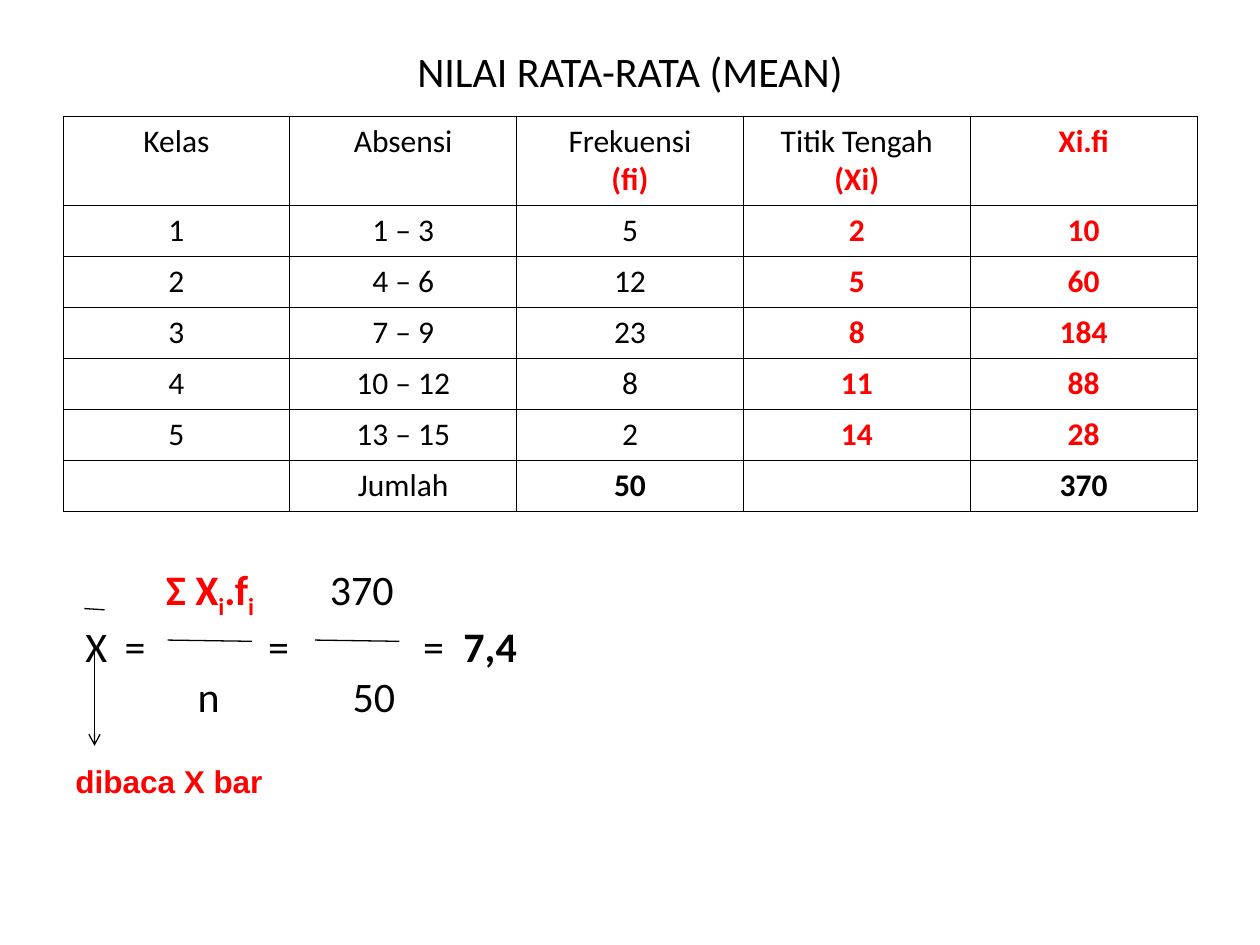
import pptx
import pptx.util
import pptx.dml.color
import pptx.enum.shapes
import pptx.enum.text
import pptx.oxml.ns
from lxml import etree

COLORS = {"ink": "000000", "accent": "FF0000"}
COLUMNS, ROWS = 20, 15  # page grid
ALIGN = pptx.enum.text.PP_ALIGN
ANCHOR = pptx.enum.text.MSO_ANCHOR

BODY = {"name": "Calibri", "size": pptx.util.Pt(18), "bold": False, "color": "ink"}
LARGE = {**BODY, "size": pptx.util.Pt(24)}
STRONG = {"bold": True}
ACCENT = {"bold": True, "color": "accent"}

HEADER = [
    [("Kelas", {})],
    [("Absensi", {})],
    [("Frekuensi", {}), ("(fi)", ACCENT)],
    [("Titik Tengah", {}), ("(Xi)", ACCENT)],
    [("Xi.fi", ACCENT)],
]
CLASSES = [
    ("1", "1 – 3", "5", "2", "10"),
    ("2", "4 – 6", "12", "5", "60"),
    ("3", "7 – 9", "23", "8", "184"),
    ("4", "10 – 12", "8", "11", "88"),
    ("5", "13 – 15", "2", "14", "28"),
]
TOTALS = ("", "Jumlah", "50", "", "370")
CLASS_STYLES = ({}, {}, {}, ACCENT, ACCENT)
TOTAL_STYLES = ({}, {}, STRONG, {}, STRONG)

# Each formula line: tab stops in grid columns, then its spans
SUBSCRIPT = {**ACCENT, "baseline": "-25000"}
FORMULA = [
    ((1.28, 3.88), [("\tΣ X", ACCENT), ("i", SUBSCRIPT), (".f", ACCENT),
                    ("i", SUBSCRIPT), ("\t370", {})]),
    ((0.62, 2.9, 5.36, 6.0), [("X\t=\t=\t=\t", {}), ("7,4", STRONG)]),
    ((1.78, 4.24), [("\tn\t50", {})]),
]


def grid_x(columns):
    return pptx.util.Inches(columns * 10 / COLUMNS)


def grid_y(rows):
    return pptx.util.Inches(rows * 7.5 / ROWS)


def place(box):
    left, top, width, height = box
    return grid_x(left), grid_y(top), grid_x(width), grid_y(height)


def add_span(para, text, style):
    span = para.add_run()
    span.text = text
    for key, value in style.items():
        if key == "color":
            span.font.color.rgb = pptx.dml.color.RGBColor.from_string(COLORS[value])
        elif key == "baseline":
            span.font._element.set("baseline", value)
        else:
            setattr(span.font, key, value)


def add_tabs(para, stops):
    tabs = etree.SubElement(para._p.get_or_add_pPr(), pptx.oxml.ns.qn("a:tabLst"))
    for stop in stops:
        etree.SubElement(tabs, pptx.oxml.ns.qn("a:tab"), pos=str(grid_x(stop)), algn="l")


def fill_frame(frame, lines, base, align=ALIGN.LEFT):
    for index, (stops, spans) in enumerate(lines):
        para = frame.add_paragraph() if index else frame.paragraphs[0]
        if stops:
            add_tabs(para, stops)
        para.alignment = align
        for text, style in spans:
            add_span(para, text, {**base, **style})


def add_text(page, box, lines, base, align=ALIGN.LEFT, anchor=ANCHOR.TOP):
    frame = page.shapes.add_textbox(*place(box)).text_frame
    frame.word_wrap = True
    frame.vertical_anchor = anchor
    fill_frame(frame, lines, base, align)


def add_line(page, start, end, arrow=False):
    line = page.shapes.add_connector(
        pptx.enum.shapes.MSO_CONNECTOR.STRAIGHT,
        grid_x(start[0]), grid_y(start[1]), grid_x(end[0]), grid_y(end[1]))
    line.line.width = pptx.util.Pt(0.75)
    line.line.color.rgb = pptx.dml.color.RGBColor.from_string(COLORS["ink"])
    if arrow:
        etree.SubElement(line.line._get_or_add_ln(),
                         pptx.oxml.ns.qn("a:tailEnd"), type="arrow")
    etree.SubElement(line._element.spPr, pptx.oxml.ns.qn("a:effectLst"))


def outline_cell(cell):
    properties = cell._tc.get_or_add_tcPr()
    for side in ("lnL", "lnR", "lnT", "lnB"):
        edge = etree.SubElement(properties, pptx.oxml.ns.qn("a:" + side),
                                w=str(pptx.util.Pt(0.45)))
        fill = etree.SubElement(edge, pptx.oxml.ns.qn("a:solidFill"))
        etree.SubElement(fill, pptx.oxml.ns.qn("a:srgbClr"), val=COLORS["ink"])
    cell.fill.background()


def add_frequency_table(page, box):
    rows = [HEADER]
    for values in CLASSES:
        rows.append([[part] for part in zip(values, CLASS_STYLES)])
    rows.append([[part] for part in zip(TOTALS, TOTAL_STYLES)])

    table = page.shapes.add_table(len(rows), len(HEADER), *place(box)).table
    table.first_row = table.horz_banding = False
    header_height = 1.42
    row_height = (box[3] - header_height) / (len(rows) - 1)
    for index, row in enumerate(rows):
        table.rows[index].height = grid_y(row_height if index else header_height)
        for column, parts in enumerate(row):
            cell = table.cell(index, column)
            outline_cell(cell)
            lines = [((), [part] if part[0] else []) for part in parts]
            fill_frame(cell.text_frame, lines, BODY, ALIGN.CENTER)


def add_mean_formula(page, box):
    left, top = box[:2]
    add_text(page, box, FORMULA, LARGE)
    # Fraction bars and the bar over X
    for start, end, level in ((1.5, 2.84, 1.32), (0.18, 0.5, 0.82), (3.84, 5.18, 1.32)):
        add_line(page, (left + start, top + level), (left + end, top + level + 0.02))
    # Arrow from X to its reading
    add_line(page, (left + 0.34, top + 1.5), (left + 0.34, top + 3), arrow=True)


def main():
    deck = pptx.Presentation()
    deck.slide_width, deck.slide_height = grid_x(COLUMNS), grid_y(ROWS)
    page = deck.slides.add_slide(deck.slide_layouts[6])

    # Title
    add_text(page, (1, 0.6, 18, 1.06), [((), [("NILAI RATA-RATA (MEAN)", {})])],
             LARGE, ALIGN.CENTER, ANCHOR.MIDDLE)
    # Frequency table
    add_frequency_table(page, (1, 1.84, 18, 6.28))
    # Formula and its reading
    add_mean_formula(page, (1.16, 8.84, 7.84, 2.72))
    add_text(page, (1, 12, 6, 0.8), [((), [("dibaca X bar", ACCENT)])],
             {**BODY, "name": "Arial"})
    deck.save("out.pptx")


if __name__ == "__main__":
    main()
